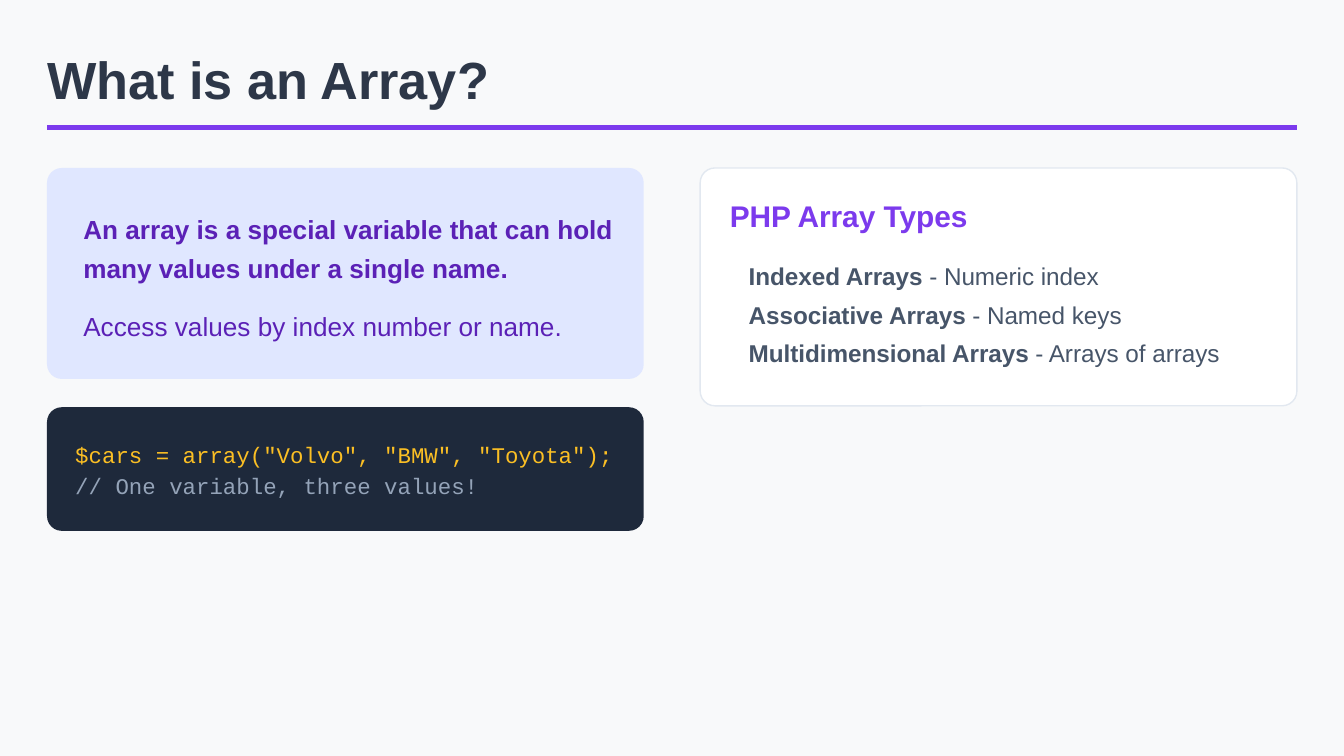
from pptx import Presentation
from pptx.dml.color import RGBColor
from pptx.enum.shapes import MSO_CONNECTOR, MSO_SHAPE
from pptx.oxml.ns import qn
from pptx.util import Inches, Pt
from lxml.etree import SubElement

COLORS = {
    "background": "F8F9FA", "title": "2D3748", "accent": "7C3AED",
    "callout": "E0E7FF", "callout_text": "5B21B6", "code": "1E293B",
    "code_text": "FBBF24", "comment": "94A3B8", "card": "FFFFFF",
    "border": "E2E8F0", "body": "475569",
}
LEFT, RIGHT, COLUMN = 0.35, 5.21, 4.44
RADIUS = 0.11


class SlideBuilder:
    """Holds the colours and the current slide, and draws its elements."""

    def __init__(self, prs):
        self.s = prs.slides.add_slide(prs.slide_layouts[6])
        fill = self.s.background.fill
        fill.solid()
        fill.fore_color.rgb = self.color("background")

    def color(self, name):
        return RGBColor.from_string(COLORS[name])

    def rule(self, x1, x2, y, color, width):
        line = self.s.shapes.add_connector(
            MSO_CONNECTOR.STRAIGHT, Inches(x1), Inches(y), Inches(x2), Inches(y))
        line.line.color.rgb = self.color(color)
        line.line.width = Pt(width)
        SubElement(line._element.spPr, qn("a:effectLst"))

    def panel(self, x, y, w, h, fill, border=None):
        sp = self.s.shapes.add_shape(
            MSO_SHAPE.ROUNDED_RECTANGLE, Inches(x), Inches(y), Inches(w), Inches(h))
        sp.adjustments[0] = RADIUS / h
        sp.shadow.inherit = False
        sp.fill.solid()
        sp.fill.fore_color.rgb = self.color(fill)
        if border:
            sp.line.color.rgb = self.color(border)
            sp.line.width = Pt(0.75)
        else:
            sp.line.fill.background()

    def text_frame(self, x, y, w, h, inset=0):
        tf = self.s.shapes.add_textbox(
            Inches(x), Inches(y), Inches(w), Inches(h)).text_frame
        tf.word_wrap = True
        tf.margin_left = Inches(inset)
        tf.margin_right = tf.margin_top = tf.margin_bottom = 0
        return tf

    def style(self, font, size, color, bold=False, name="Arial"):
        font.name, font.size, font.bold = name, Pt(size), bold
        font.color.rgb = self.color(color)

    def text(self, x, y, w, h, text, size, color, bold=False,
             name="Arial", spacing=None):
        tf = self.text_frame(x, y, w, h)
        tf.text = text
        p = tf.paragraphs[0]
        if spacing:
            p.line_spacing = Pt(spacing)
        self.style(p.runs[0].font, size, color, bold, name)

    def definitions(self, x, y, w, h, items, size, color, spacing):
        tf = self.text_frame(x, y, w, h, inset=0.14)
        for i, (term, meaning) in enumerate(items):
            p = tf.add_paragraph() if i else tf.paragraphs[0]
            p.line_spacing = Pt(spacing)
            for text, bold in ((term, True), (f" - {meaning}", False)):
                r = p.add_run()
                r.text = text
                self.style(r.font, size, color, bold)


def main():
    prs = Presentation()
    prs.slide_width, prs.slide_height = Inches(10), Inches(10 * 9 / 16)
    b = SlideBuilder(prs)

    b.rule(LEFT, RIGHT + COLUMN, 0.95, "accent", 3)
    b.text(LEFT, 0.35, 9.49, 0.45, "What is an Array?", 28, "title", bold=True)

    b.panel(LEFT, 1.25, COLUMN, 1.57, "callout")
    b.text(0.62, 1.53, 3.97, 0.58,
           "An array is a special variable that can hold many values under a single name.",
           14, "callout_text", bold=True, spacing=21)
    b.text(0.62, 2.25, 3.97, 0.29, "Access values by index number or name.",
           14, "callout_text", spacing=21)

    b.panel(LEFT, 3.03, COLUMN, 0.92, "code")
    code = [('$cars = array("Volvo", "BMW", "Toyota");', "code_text"),
            ("// One variable, three values!", "comment")]
    for i, (line, color) in enumerate(code):
        b.text(0.56, 3.28 + 0.23 * i, 4.11, 0.19, line, 12, color, name="Courier New")

    b.panel(RIGHT, 1.25, COLUMN, 1.77, "card", border="border")
    b.text(5.43, 1.47, 4.09, 0.26, "PHP Array Types", 16, "accent", bold=True)
    types = [("Indexed Arrays", "Numeric index"),
             ("Associative Arrays", "Named keys"),
             ("Multidimensional Arrays", "Arrays of arrays")]
    b.definitions(5.43, 1.87, 4.01, 0.87, types, 13, "body", 20.8)

    prs.save("out.pptx")


if __name__ == "__main__":
    main()
